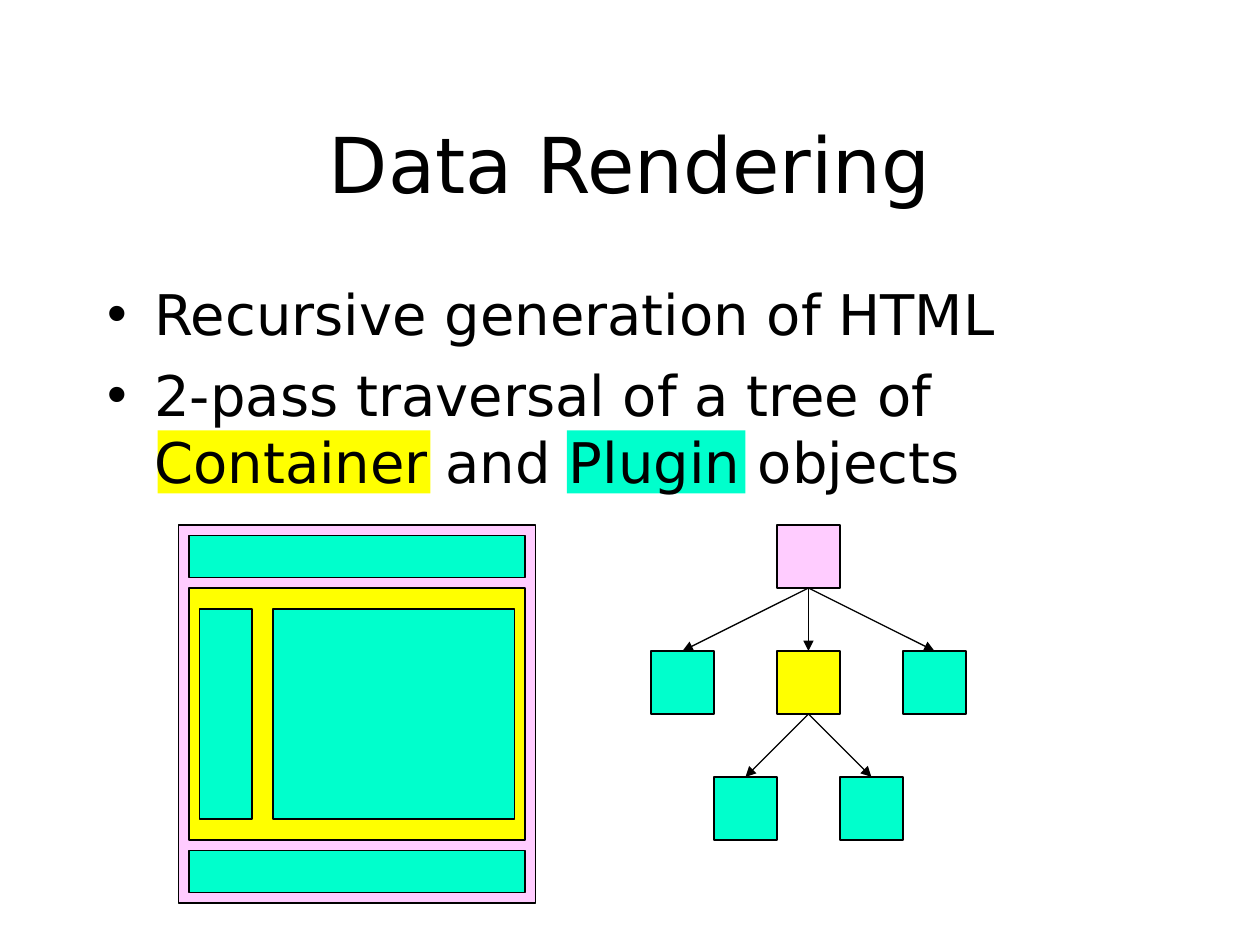
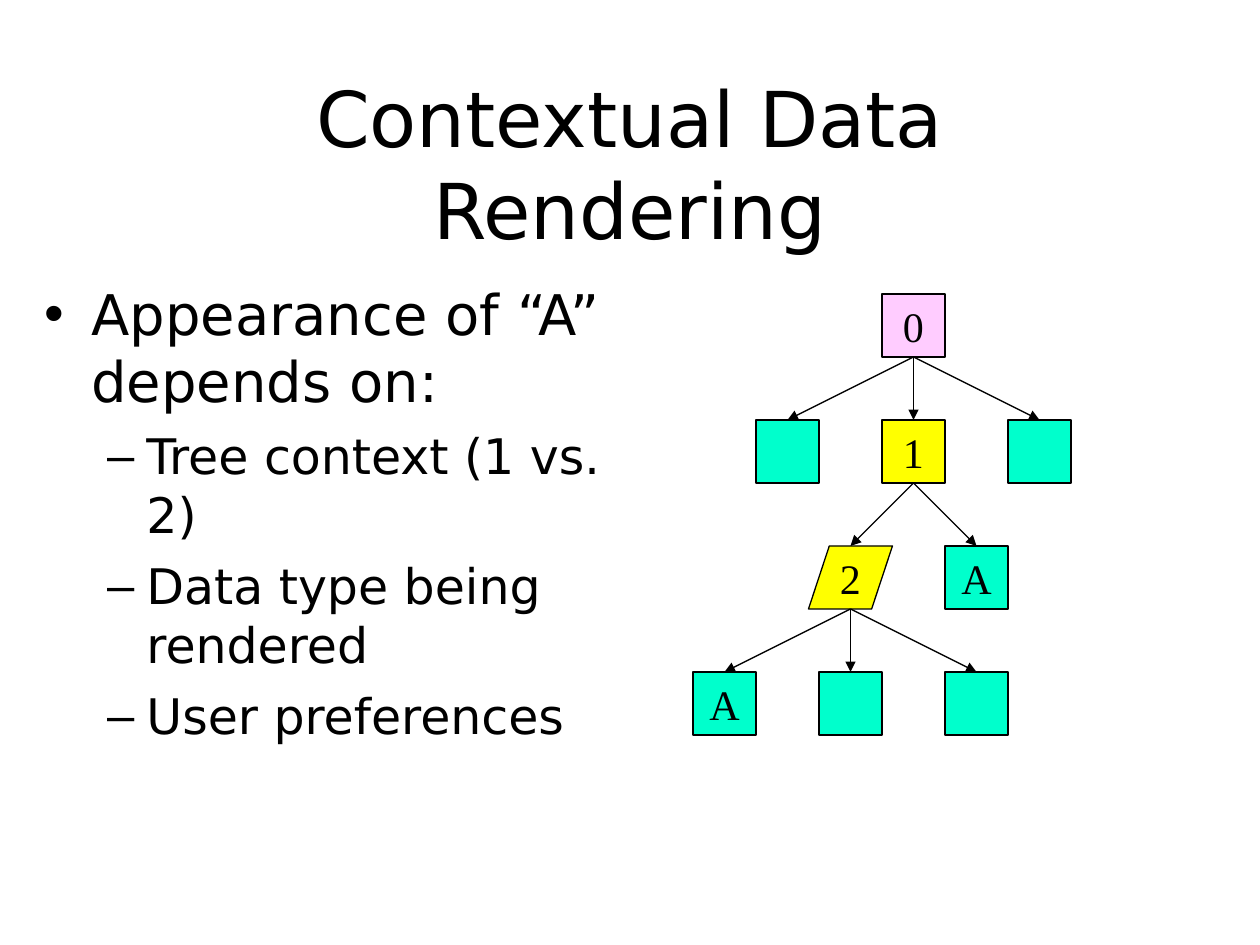
from lxml import etree
from pptx import Presentation
from pptx import util as u
from pptx.dml.color import RGBColor
from pptx.enum import shapes, text
from pptx.oxml.ns import qn

BLACK = RGBColor(0x00, 0x00, 0x00)
PINK = RGBColor(0xFF, 0xCC, 0xFF)
TEAL = RGBColor(0x00, 0xFF, 0xCC)
YELLOW = RGBColor(0xFF, 0xFF, 0x00)
SANS, SERIF = "DejaVu Sans", "Times New Roman"
RECT = shapes.MSO_SHAPE.RECTANGLE
SLANT = shapes.MSO_SHAPE.PARALLELOGRAM
WIDTH, HEIGHT = u.Inches(10), u.Inches(7.5)
COLS = 120
CELL = WIDTH // COLS
NODE = 6
LEVELS = ((32, 8), (28, 7))
TITLE = (9, 8, 102, 15)


def grid(*cells):
    """Turn grid cells into lengths."""
    return [u.Emu(round(c * CELL)) for c in cells]


def place(shape, box):
    """Move a shape to a box of the grid."""
    shape.left, shape.top, shape.width, shape.height = grid(*box)


def block(slide, box, fill, label="", kind=RECT, edge=True):
    """Draw a filled block, with an optional edge and label."""
    shape = slide.shapes.add_shape(kind, *grid(*box))
    shape.shadow.inherit = False
    shape.fill.solid()
    shape.fill.fore_color.rgb = fill
    if edge:
        shape.line.color.rgb = BLACK
        shape.line.width = u.Pt(0.75)
    else:
        shape.line.fill.background()
    if label:
        frame = shape.text_frame
        frame.text = label
        frame.word_wrap = False
        frame.vertical_anchor = text.MSO_ANCHOR.MIDDLE
        style(frame.paragraphs[0], SERIF, 24)
        frame.paragraphs[0].alignment = text.PP_ALIGN.CENTER
    return shape


def style(para, face, size):
    """Set the font of a paragraph."""
    para.font.name = face
    para.font.size = u.Pt(size)
    para.font.color.rgb = BLACK


def arrow(slide, start, end):
    """Draw a thin arrow between two grid points."""
    line = slide.shapes.add_connector(
        shapes.MSO_CONNECTOR.STRAIGHT, *grid(*start, *end))
    line.line.color.rgb = BLACK
    line.line.width = u.Pt(0.75)
    props = line._element.spPr
    tip = etree.SubElement(props.find(qn("a:ln")), qn("a:tailEnd"))
    tip.set("type", "triangle")
    etree.SubElement(props, qn("a:effectLst"))


def tree(slide, mid, top, fill, label="", kids=(), kind=RECT):
    """Draw a node centred on mid, then its children in the row below."""
    wide = NODE + 2 if kind == SLANT else NODE
    node = block(slide, (mid - wide / 2, top, wide, NODE), fill, label, kind)
    if kind == SLANT:
        node.adjustments[0] = 0.33
    for i, kid in enumerate(kids):
        x = mid + (i - (len(kids) - 1) / 2) * 2 * NODE
        y = top + 2 * NODE
        tree(slide, x, y, **kid)
        arrow(slide, (mid, top + NODE), (x, y))


def page(slide, box):
    """Draw the nested page layout inside a box."""
    left, top, wide, high = box
    bar, inner = 4, wide - 2
    body = high - 2 * bar - 4
    block(slide, box, PINK)
    parts = (
        (1, 1, inner, bar, TEAL),
        (1, high - bar - 1, inner, bar, TEAL),
        (1, bar + 2, inner, body, YELLOW),
        (2, bar + 4, 5, body - 4, TEAL),
        (9, bar + 4, inner - 9, body - 4, TEAL),
    )
    for x, y, w, h, fill in parts:
        block(slide, (left + x, top + y, w, h), fill)


def base(deck, title, box, items):
    """Add a slide with its title and a bulleted list in a box."""
    slide = deck.slides.add_slide(deck.slide_layouts[1])
    head, body = slide.placeholders
    place(head, TITLE)
    head.text_frame.text = title
    style(head.text_frame.paragraphs[0], SANS, 44)
    place(body, box)
    frame = body.text_frame
    frame.text = "\n".join(item for _, item in items)
    for i, (para, (level, _)) in enumerate(zip(frame.paragraphs, items)):
        size, gap = LEVELS[level]
        para.level = level
        para.space_before = u.Pt(gap if i else 0)
        style(para, SANS, size)
    for holder in (head, body):
        holder.text_frame.auto_size = text.MSO_AUTO_SIZE.NONE
    return slide


def render(deck):
    """Build the slide on data rendering."""
    slide = base(deck, "Data Rendering", (9, 26, 102, 54), (
        (0, "Recursive generation of HTML"),
        (0, "2-pass traversal of a tree of Container and Plugin objects"),
    ))
    for left, wide, fill in ((15, 26, YELLOW), (54, 17, TEAL)):
        mark = block(slide, (left, 41, wide, 6), fill, edge=False)
        slide.shapes._spTree.insert(2, mark._element)
    page(slide, (17, 50, 34, 36))
    leaf = dict(fill=TEAL)
    group = dict(fill=YELLOW, kids=(leaf, leaf))
    tree(slide, 77, 50, PINK, kids=(leaf, group, leaf))


def context(deck):
    """Build the slide on contextual data rendering."""
    slide = base(deck, "Contextual Data Rendering", (3, 26, 57, 54), (
        (0, "Appearance of “A” depends on:"),
        (1, "Tree context (1 vs. 2)"),
        (1, "Data type being rendered"),
        (1, "User preferences"),
    ))
    leaf, named = dict(fill=TEAL), dict(fill=TEAL, label="A")
    inner = dict(fill=YELLOW, label="2", kind=SLANT, kids=(named, leaf, leaf))
    outer = dict(fill=YELLOW, label="1", kids=(inner, named))
    tree(slide, 87, 28, PINK, "0", (leaf, outer, leaf))


def main():
    """Build and save the deck."""
    deck = Presentation()
    deck.slide_width, deck.slide_height = WIDTH, HEIGHT
    render(deck)
    context(deck)
    deck.save("out.pptx")


if __name__ == "__main__":
    main()
